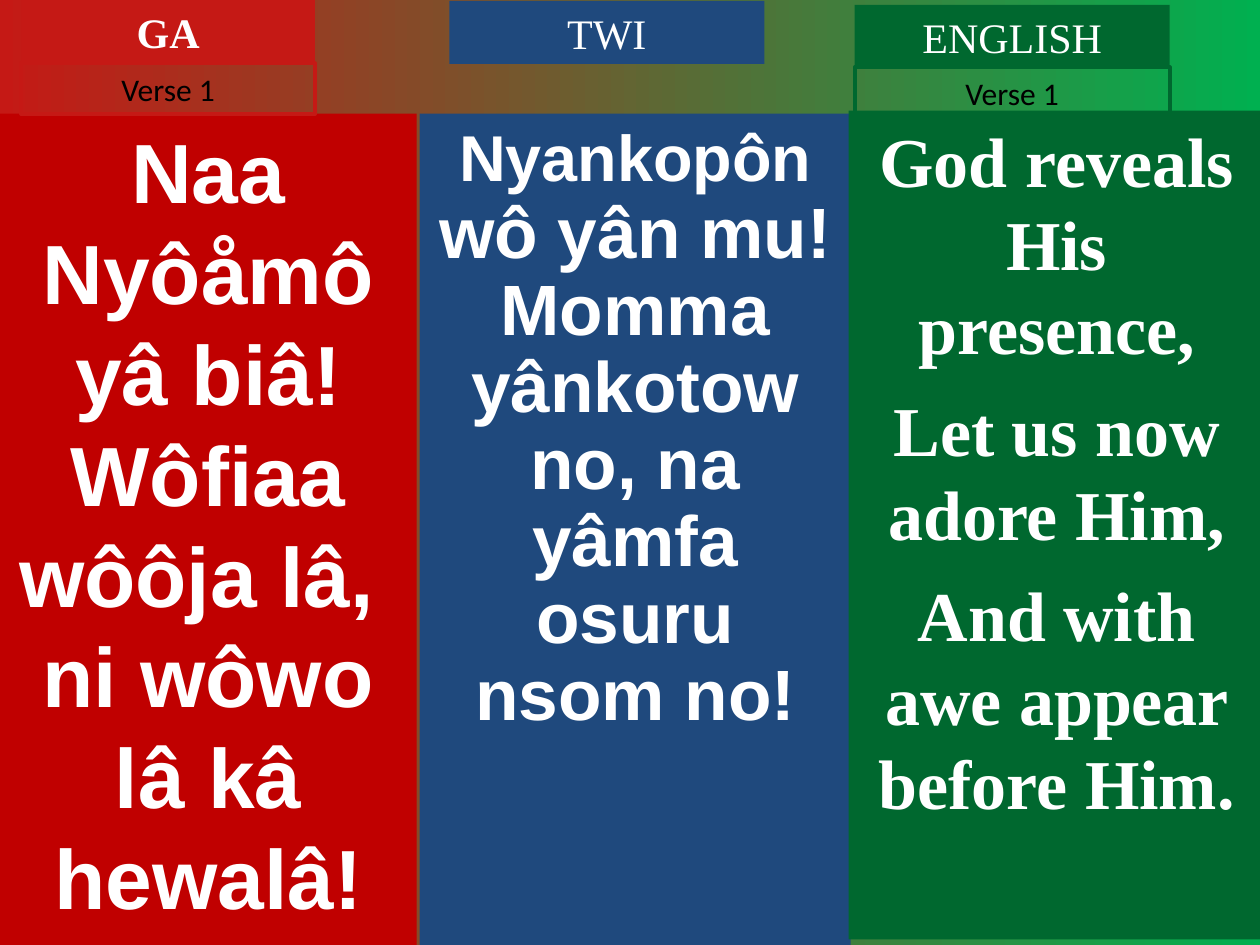
from dataclasses import dataclass
from typing import Optional

from pptx import Presentation
from pptx import util as u
from pptx.dml.color import RGBColor
from pptx.enum import shapes, text

WHITE = RGBColor(0xFF, 0xFF, 0xFF)
BLACK = RGBColor(0x00, 0x00, 0x00)
SCARLET = RGBColor(0xC5, 0x19, 0x15)
RED = RGBColor(0xC0, 0x00, 0x00)
BLUE = RGBColor(0x1F, 0x49, 0x7D)
GREEN = RGBColor(0x00, 0x68, 0x2F)
BRIGHT_GREEN = RGBColor(0x00, 0xB0, 0x50)

SERIF = "Times New Roman"
SANS = "Arial"


@dataclass(frozen=True)
class Run:
    words: str
    size: float


@dataclass(frozen=True)
class Box:
    """A rectangle in centimetres with centred text, one tuple of runs per paragraph."""
    left: float
    top: float
    width: float
    height: float
    paragraphs: tuple[tuple[Run, ...], ...]
    font: str
    fill: Optional[RGBColor] = None
    outline: Optional[RGBColor] = None
    color: RGBColor = WHITE
    bold: bool = False
    line_spacing: float = 1.0
    gap: float = 0


def heading(left: float, top: float, width: float, title: str,
            fill: RGBColor, bold: bool = False) -> Box:
    return Box(left, top, width, 1.27, ((Run(title, 24),),), SERIF, fill, bold=bold)


def verse_label(left: float, top: float, width: float, outline: RGBColor) -> Box:
    return Box(left, top, width, 1.02, ((Run("Verse 1", 18),),), "Calibri",
               outline=outline, color=BLACK)


def lyrics(left: float, top: float, width: float, height: float,
           paragraphs: tuple[tuple[Run, ...], ...], font: str, fill: RGBColor,
           line_spacing: float = 1.0, gap: float = 0) -> Box:
    return Box(left, top, width, height, paragraphs, font, fill, bold=True,
               line_spacing=line_spacing, gap=gap)


BOXES = (
    lyrics(0, 2.29, 8.4, 16.76, (
        (Run("Naa Nyôåmô yâ biâ!", 48),),
        (Run("Wôfiaa wôôja lâ, ", 48),),
        (Run("ni wôwo lâ kâ hewalâ!", 48),),
    ), SANS, RED),
    lyrics(8.46, 2.29, 8.69, 16.76, (
        (Run("Nyankopôn", 37), Run(" wô yân mu!", 40.7)),
        (Run("Momma yânkotow no, na yâmfa osuru nsom no!", 40.7),),
    ), SANS, BLUE, line_spacing=0.9),
    heading(0.43, 0, 5.92, "GA", SCARLET, bold=True),
    heading(9.06, 0.02, 6.35, "TWI", BLUE),
    verse_label(0.43, 1.28, 5.92, SCARLET),
    lyrics(17.11, 2.23, 8.38, 16.71, (
        (Run("God reveals His presence,", 40),),
        (Run("Let us now adore Him,", 40),),
        (Run("And with awe appear before Him.", 40),),
    ), SERIF, GREEN, gap=10),
    heading(17.23, 0.1, 6.35, "ENGLISH", GREEN),
    verse_label(17.23, 1.36, 6.35, GREEN),
)


def paint_background(s) -> None:
    fill = s.background.fill
    fill.gradient()
    fill.gradient_angle = 0
    for stop, color, position in zip(fill.gradient_stops, (SCARLET, BRIGHT_GREEN), (0, 1)):
        stop.color.rgb = color
        stop.position = position


def draw_box(s, box: Box) -> None:
    sp = s.shapes.add_shape(shapes.MSO_SHAPE.RECTANGLE, u.Cm(box.left), u.Cm(box.top),
                            u.Cm(box.width), u.Cm(box.height))
    sp.shadow.inherit = False
    if box.fill is None:
        sp.fill.background()
    else:
        sp.fill.solid()
        sp.fill.fore_color.rgb = box.fill
    if box.outline is None:
        sp.line.fill.background()
    else:
        sp.line.color.rgb = box.outline
        sp.line.width = u.Pt(2.25)

    tf = sp.text_frame
    tf.word_wrap = True
    tf.vertical_anchor = text.MSO_ANCHOR.TOP
    tf.margin_left = tf.margin_right = u.Cm(0.25)
    tf.margin_top = tf.margin_bottom = u.Cm(0.13)
    for i, runs in enumerate(box.paragraphs):
        p = tf.add_paragraph() if i else tf.paragraphs[0]
        p.alignment = text.PP_ALIGN.CENTER
        p.line_spacing = box.line_spacing
        if i:
            p.space_before = u.Pt(box.gap)
        for run in runs:
            r = p.add_run()
            r.text = run.words
            r.font.name = box.font
            r.font.size = u.Pt(run.size)
            r.font.bold = box.bold
            r.font.color.rgb = box.color


def main() -> None:
    prs = Presentation()
    prs.slide_width, prs.slide_height = u.Cm(25.4), u.Cm(19.05)
    s = prs.slides.add_slide(prs.slide_layouts[6])
    paint_background(s)
    for box in BOXES:
        draw_box(s, box)
    prs.save("out.pptx")


if __name__ == "__main__":
    main()
